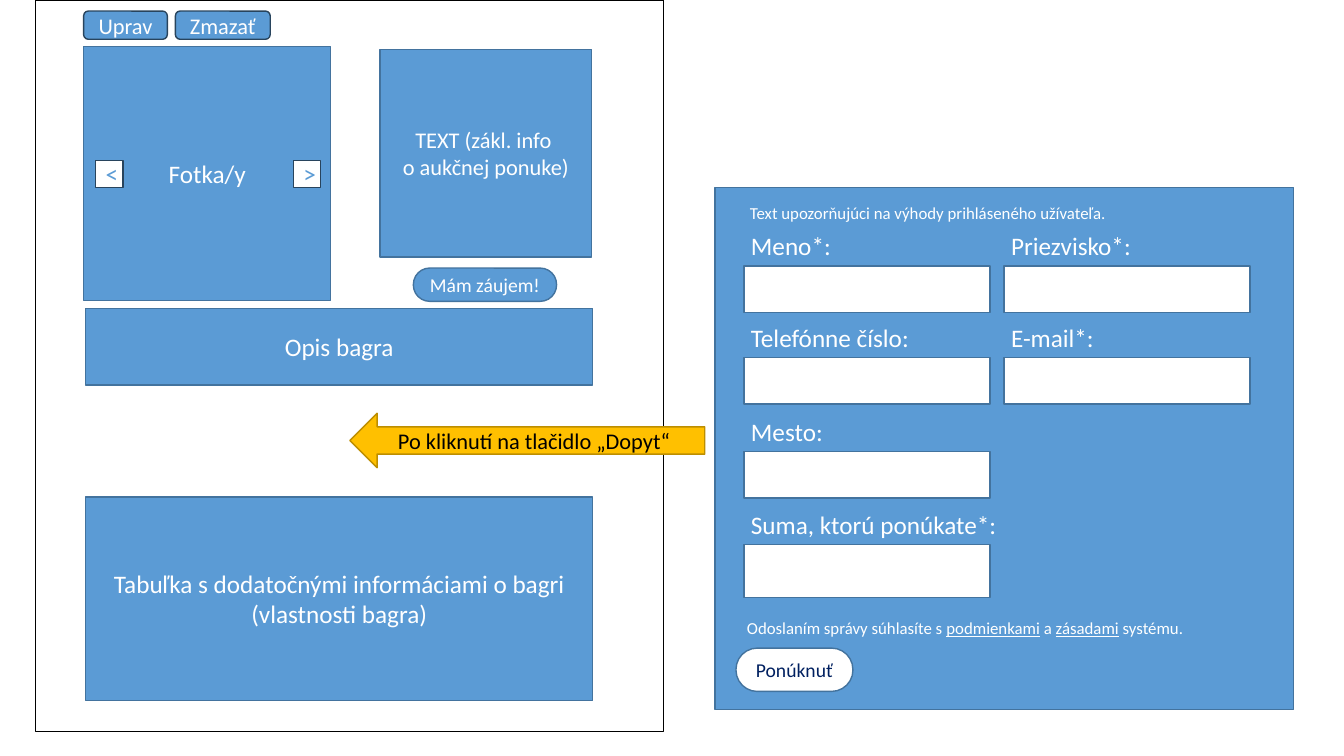
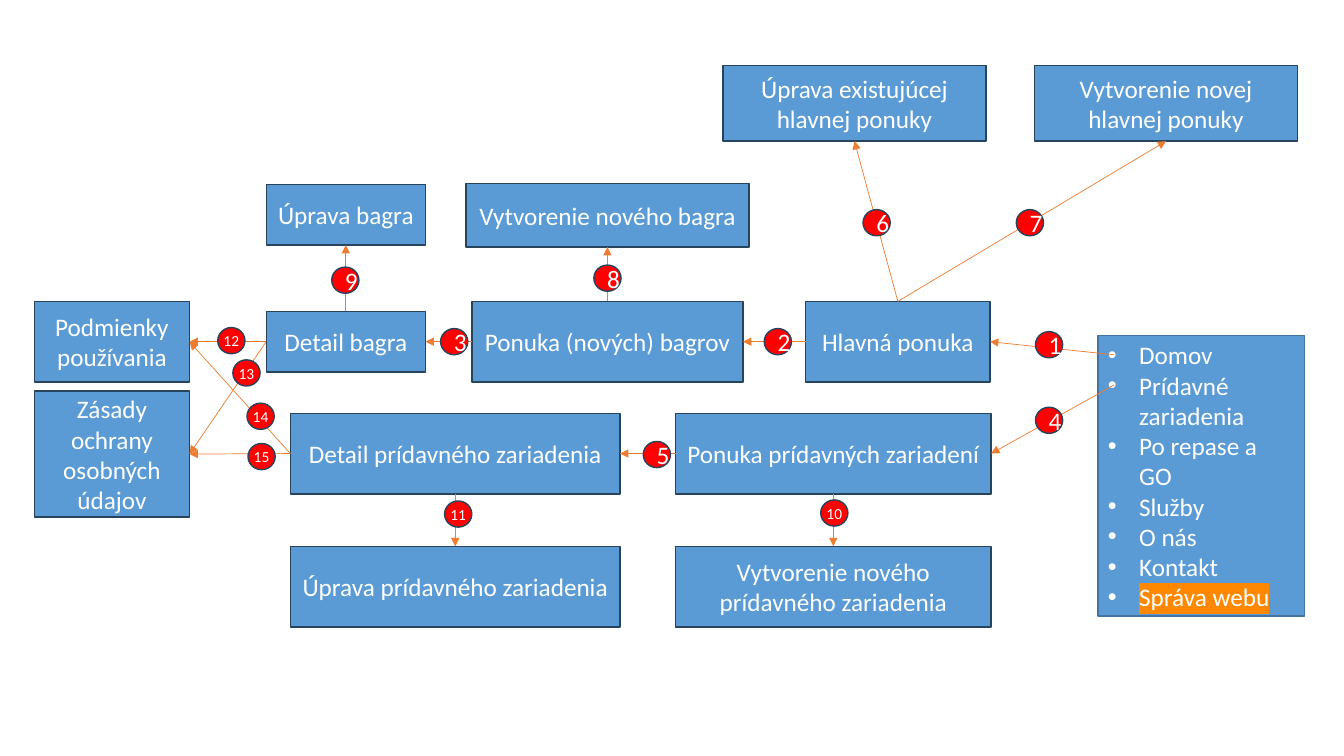
"""Build a two-slide wireframe and page map for an excavator offer website."""
from lxml import etree
from pptx import Presentation
from pptx.dml.color import RGBColor
from pptx.enum.shapes import MSO_CONNECTOR, MSO_SHAPE
from pptx.enum.text import MSO_ANCHOR, PP_ALIGN
from pptx.oxml.ns import qn
from pptx.util import Inches, Pt

BLUE = RGBColor(0x5B, 0x9B, 0xD5)
EDGE = RGBColor(0x43, 0x73, 0x9E)
DARK_EDGE = RGBColor(0x28, 0x44, 0x5D)
WHITE = RGBColor(0xFF, 0xFF, 0xFF)
BLACK = RGBColor(0, 0, 0)
NAVY = RGBColor(0x00, 0x20, 0x60)
GOLD = RGBColor(0xFF, 0xC0, 0x00)
GOLD_EDGE = RGBColor(0xBD, 0x8E, 0x00)
RED = RGBColor(0xFF, 0, 0)
ORANGE = RGBColor(0xED, 0x7D, 0x31)
HIGHLIGHT = RGBColor(0xFF, 0x88, 0x00)
FONT = "Calibri"
RECT, ROUND = MSO_SHAPE.RECTANGLE, MSO_SHAPE.ROUNDED_RECTANGLE
OVAL, LEFT_ARROW = MSO_SHAPE.OVAL, MSO_SHAPE.LEFT_ARROW
STRAIGHT = MSO_CONNECTOR.STRAIGHT
LEFT_ALIGN, CENTER = PP_ALIGN.LEFT, PP_ALIGN.CENTER
MIDDLE = MSO_ANCHOR.MIDDLE
TOP, LEFT, BOTTOM, RIGHT = range(4)
PILL = 0.49


class Sketch:
    """Hold the deck, its style and the current slide."""

    def __init__(self):
        self.deck = Presentation()
        self.deck.slide_width, self.deck.slide_height = Inches(13.33), Inches(7.5)
        self.page = None

    def new_page(self):
        """Start a blank slide."""
        self.page = self.deck.slides.add_slide(self.deck.slide_layouts[6])

    def style(self, para, size, color, align):
        """Format a paragraph and its runs."""
        para.alignment = align
        for span in para.runs:
            span.font.size, span.font.name = Pt(size), FONT
            span.font.color.rgb = color

    def box(self, place, text="", size=18, kind=RECT, fill=BLUE, edge=EDGE,
            color=WHITE, corner=None):
        """Draw an outlined shape with centred text."""
        shape = self.page.shapes.add_shape(kind, *map(Inches, place))
        shape.shadow.inherit = False
        if fill is None:
            shape.fill.background()
        else:
            shape.fill.solid()
            shape.fill.fore_color.rgb = fill
        shape.line.color.rgb, shape.line.width = edge, Pt(1)
        if corner is not None:
            shape.adjustments[0] = corner
        if text:
            frame = shape.text_frame
            frame.word_wrap, frame.vertical_anchor = True, MIDDLE
            frame.text = text
            for para in frame.paragraphs:
                self.style(para, size, color, CENTER)
        return shape

    def label(self, left, top, width, *spans, size=18):
        """Write a left-aligned line whose every second span is underlined."""
        box = self.page.shapes.add_textbox(
            Inches(left), Inches(top), Inches(width), Inches(size / 45))
        box.text_frame.word_wrap = True
        para = box.text_frame.paragraphs[0]
        for index, text in enumerate(spans):
            span = para.add_run()
            span.text = text
            span.font.underline = index % 2 == 1
        self.style(para, size, WHITE, LEFT_ALIGN)

    def menu(self, place, items, marked):
        """Draw a box with a bulleted list and one highlighted item."""
        box = self.box(place, "\n".join(items))
        for para in box.text_frame.paragraphs:
            self.style(para, 18, WHITE, LEFT_ALIGN)
            props = para._p.get_or_add_pPr()
            props.set("marL", str(Inches(0.31)))
            props.set("indent", str(-Inches(0.31)))
            etree.SubElement(props, qn("a:buFont")).set("typeface", "Arial")
            etree.SubElement(props, qn("a:buChar")).set("char", "•")
            if para.text == marked:
                latin = para.runs[0]._r.rPr.find(qn("a:latin"))
                mark = etree.Element(qn("a:highlight"))
                etree.SubElement(mark, qn("a:srgbClr")).set("val", str(HIGHLIGHT))
                latin.addprevious(mark)

    def arrow(self, start, end):
        """Join a (box, side) or an (x, y) start to a (box, side) end."""
        line = self.page.shapes.add_connector(STRAIGHT, 0, 0, 0, 0)
        if isinstance(start[0], float):
            line.begin_x, line.begin_y = map(Inches, start)
        else:
            line.begin_connect(*start)
        line.end_connect(*end)
        line.line.color.rgb, line.line.width = ORANGE, Pt(0.5)
        outline = line.line._get_or_add_ln()
        etree.SubElement(outline, qn("a:tailEnd")).set("type", "triangle")
        etree.SubElement(line._element.spPr, qn("a:effectLst"))

    def badge(self, number, left, top):
        """Draw a numbered red circle."""
        wide = number > 9
        circle = self.box((left, top, 0.27, 0.26), str(number), 11 if wide else 18,
                          kind=OVAL, fill=RED, edge=DARK_EDGE)
        if wide:
            frame = circle.text_frame
            frame.margin_left = frame.margin_right = 0
            frame.margin_top = frame.margin_bottom = 0
            frame.word_wrap = False


def draw_offer(sketch):
    """Draw the offer detail with its enquiry form."""
    sketch.new_page()
    sketch.box((0.83, 0.46, 2.45, 2.52), "Fotka/y")
    sketch.box((3.77, 0.49, 2.1, 2.06), "TEXT (zákl. info \vo aukčnej ponuke)", 16)
    sketch.box((4.1, 2.66, 1.42, 0.33), "Mám záujem!", 14, ROUND, corner=PILL)
    sketch.box((0.85, 3.06, 5.03, 0.76), "Opis bagra")
    sketch.box((0.85, 4.93, 5.03, 2.02),
               "Tabuľka s dodatočnými informáciami o bagri (vlastnosti bagra)")
    sketch.box((0.35, 0, 6.23, 7.26), fill=None, edge=BLACK)
    sketch.box((3.47, 4.1, 3.52, 0.54), "Po kliknutí na tlačidlo „Dopyt“", 16,
               LEFT_ARROW, GOLD, GOLD_EDGE, BLACK)
    for text, left, width in (("Uprav", 0.83, 0.83), ("Zmazať", 1.74, 0.94)):
        sketch.box((left, 0.11, width, 0.28), text, 16, ROUND, edge=DARK_EDGE)
    for text, left in (("<", 0.95), (">", 2.91)):
        sketch.box((left, 1.59, 0.27, 0.27), text, fill=WHITE, edge=DARK_EDGE, color=BLUE)

    sketch.box((7.09, 1.86, 5.74, 5.18))
    sketch.label(7.34, 1.96, 4, "Text upozorňujúci na výhody prihláseného užívateľa.", size=12)
    fields = (
        ("Meno*:", 7.38, 2.64, 0.46), ("Priezvisko*:", 9.96, 2.64, 0.46),
        ("Telefónne číslo:", 7.38, 3.55, 0.46), ("E-mail*:", 9.96, 3.55, 0.46),
        ("Mesto:", 7.38, 4.48, 0.46), ("Suma, ktorú ponúkate*:", 7.38, 5.4, 0.53),
    )
    for text, left, top, height in fields:
        sketch.box((left, top, 2.44, height), fill=WHITE)
        sketch.label(left - 0.03, top - 0.4, 2.9, text)
    sketch.label(7.31, 6.08, 5.3, "Odoslaním správy súhlasíte s ", "podmienkami", " a ",
                 "zásadami", " systému.", size=12)
    sketch.box((7.3, 6.43, 1.16, 0.43), "Ponúknuť", 14, ROUND, WHITE, color=NAVY, corner=PILL)


def draw_map(sketch):
    """Draw the map of pages and the numbered links between them."""
    sketch.new_page()
    sketch.menu((10.89, 3.33, 2.05, 2.78),
                ("Domov", "Prídavné zariadenia", "Po repase a GO", "Služby", "O nás",
                 "Kontakt", "Správa webu"), "Správa webu")
    places = {
        "Hlavná ponuka": (7.99, 2.99, 1.83, 0.8),
        "Ponuka prídavných zariadení": (6.7, 4.1, 3.13, 0.8),
        "Ponuka (nových) bagrov": (4.68, 2.99, 2.69, 0.8),
        "Detail bagra": (2.64, 3.09, 1.58, 0.6),
        "Detail prídavného zariadenia": (2.88, 4.1, 3.27, 0.8),
        "Úprava bagra": (2.64, 1.83, 1.58, 0.6),
        "Úprava prídavného zariadenia": (2.88, 5.42, 3.27, 0.8),
        "Úprava existujúcej hlavnej ponuky": (7.17, 0.65, 2.61, 0.75),
        "Vytvorenie novej hlavnej ponuky": (10.26, 0.65, 2.61, 0.75),
        "Vytvorenie nového bagra": (4.62, 1.82, 2.81, 0.63),
        "Vytvorenie nového prídavného zariadenia": (6.7, 5.42, 3.13, 0.8),
        "Zásady ochrany osobných údajov": (0.34, 3.88, 1.54, 1.25),
        "Podmienky používania": (0.34, 2.99, 1.54, 0.8),
    }
    (main, attachments, diggers, digger, attachment, edit_digger, edit_attachment,
     edit_main, new_main, new_digger, new_attachment, privacy, terms) = [
        sketch.box(place, text, edge=DARK_EDGE) for text, place in places.items()]
    links = (
        ((11.05, 3.52), (main, RIGHT), (10.27, 3.29)),
        ((main, LEFT), (diggers, RIGHT), (7.58, 3.26)),
        ((diggers, LEFT), (digger, RIGHT), (4.37, 3.26)),
        ((11.05, 3.82), (attachments, RIGHT), (10.27, 4.04)),
        ((attachments, LEFT), (attachment, RIGHT), (6.38, 4.38)),
        ((main, TOP), (edit_main, BOTTOM), (8.56, 2.08)),
        ((main, TOP), (new_main, BOTTOM), (10.08, 2.08)),
        ((diggers, TOP), (new_digger, BOTTOM), (5.89, 2.63)),
        ((digger, TOP), (edit_digger, BOTTOM), (3.29, 2.65)),
        ((attachments, BOTTOM), (new_attachment, TOP), (8.14, 4.96)),
        ((attachment, BOTTOM), (edit_attachment, TOP), (4.41, 4.97)),
        ((digger, LEFT), (terms, RIGHT), (2.16, 3.25)),
        ((digger, LEFT), (privacy, RIGHT), (2.31, 3.57)),
        ((attachment, LEFT), (terms, RIGHT), (2.45, 4)),
        ((attachment, LEFT), (privacy, RIGHT), (2.46, 4.4)),
    )
    for start, end, _ in links:
        sketch.arrow(start, end)
    for number, (_, _, spot) in enumerate(links, 1):
        sketch.badge(number, *spot)


def main():
    """Build and save the deck."""
    sketch = Sketch()
    draw_offer(sketch)
    draw_map(sketch)
    sketch.deck.save("out.pptx")


if __name__ == "__main__":
    main()
